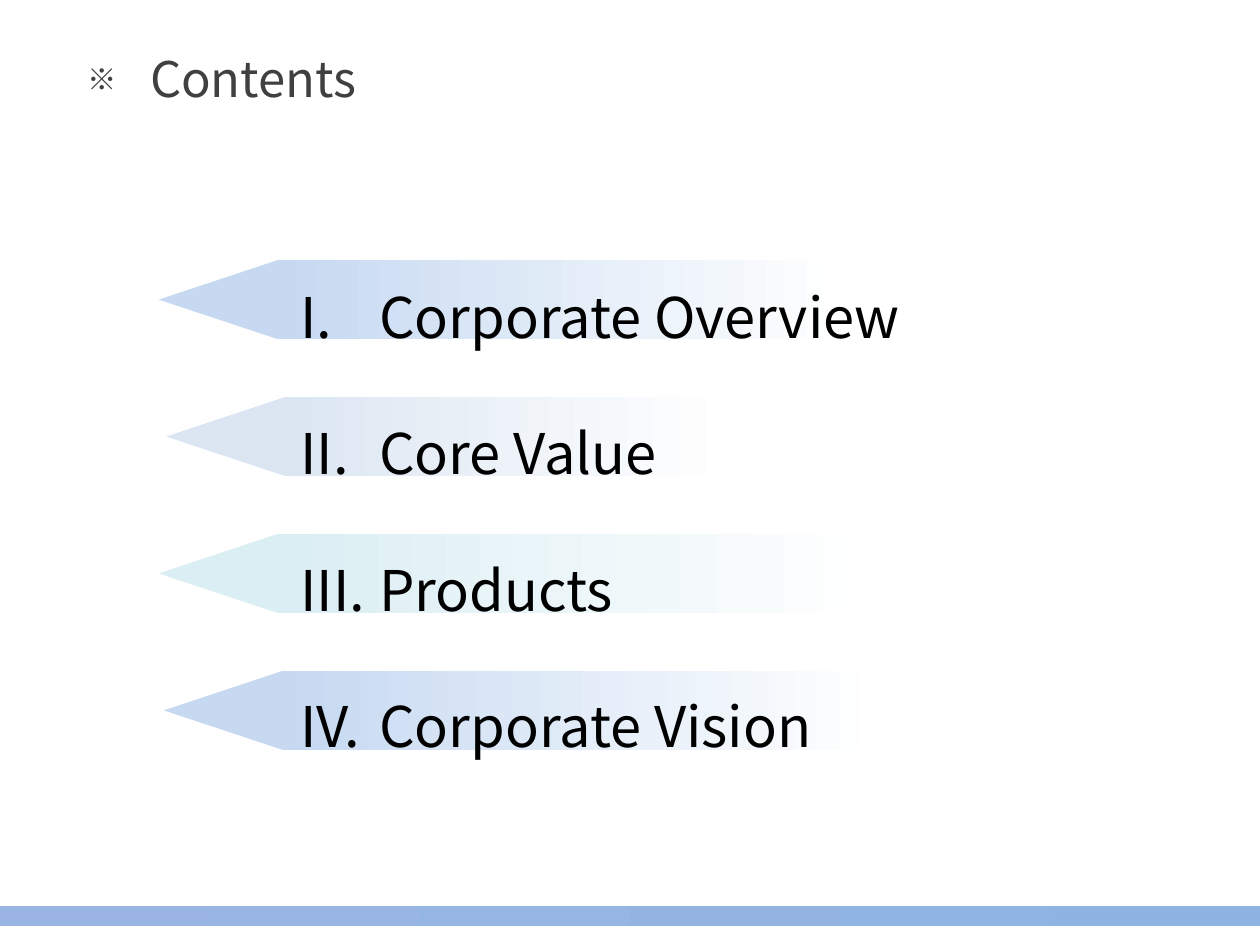
from lxml import etree
from pptx import Presentation
from pptx.dml.color import RGBColor
from pptx.enum import shapes, text
from pptx.oxml.ns import qn
from pptx.util import Cm, Pt

# Content
HEADING = "Contents"
BLUE = RGBColor(0xC6, 0xD9, 0xF1)
PALE_BLUE = RGBColor(0xDC, 0xE6, 0xF2)
AQUA = RGBColor(0xDB, 0xEE, 0xF4)
WHITE = RGBColor(0xFF, 0xFF, 0xFF)
BLACK = RGBColor(0, 0, 0)
GREY = RGBColor(0x40, 0x40, 0x40)
FOOTER_LEFT = RGBColor(0x9A, 0xB5, 0xE4)
FOOTER_RIGHT = RGBColor(0x8E, 0xB4, 0xE3)
# Chapter, colour, left tip of the arrow (cm), length of the fading band (cm)
CHAPTERS = [
    ("Corporate Overview", BLUE, 3.2, 11.5),
    ("Core Value", PALE_BLUE, 3.35, 9.04),
    ("Products", AQUA, 3.2, 12.3),
    ("Corporate Vision", BLUE, 3.3, 12.1),
]
FONT = "Noto Sans CJK KR"
FIRST_TOP, PITCH = 5.24, 2.76
BAND_HEIGHT, TIP_LENGTH = 1.6, 2.41


def add_plain(parent, kind, left, top, width, height):
    shape = parent.shapes.add_shape(kind, Cm(left), Cm(top), Cm(width), Cm(height))
    shape.shadow.inherit = False
    shape.line.fill.background()
    return shape


def add_fading_band(parent, left, top, width, height, colours):
    band = add_plain(parent, shapes.MSO_SHAPE.RECTANGLE, left, top, width, height)
    band.fill.gradient()
    band.fill.gradient_angle = 0
    for stop, position, colour in zip(band.fill.gradient_stops, (0, 1), colours):
        stop.position = position
        stop.color.rgb = colour


def add_arrow(slide, top, colour, left, length):
    arrow = slide.shapes.add_group_shape()
    add_fading_band(arrow, left + TIP_LENGTH - 0.03, top, length, BAND_HEIGHT,
                    (colour, WHITE))
    # The triangle is placed upright around its centre, then turned left
    inset = (TIP_LENGTH - BAND_HEIGHT) / 2
    tip = add_plain(arrow, shapes.MSO_SHAPE.ISOSCELES_TRIANGLE,
                    left + inset, top - inset, BAND_HEIGHT, TIP_LENGTH)
    tip.rotation = 270
    tip.fill.solid()
    tip.fill.fore_color.rgb = colour


def add_bullet(paragraph, colour, indent, size, tag, **mark):
    props = paragraph._p.get_or_add_pPr()
    props.set("marL", str(Cm(indent)))
    props.set("indent", str(-Cm(indent)))
    bullet_colour = etree.SubElement(props, qn("a:buClr"))
    etree.SubElement(bullet_colour, qn("a:srgbClr"), val=str(colour))
    etree.SubElement(props, qn("a:buSzPct"), val=str(size * 1000))
    etree.SubElement(props, qn("a:buFont"), typeface=FONT)
    etree.SubElement(props, qn(tag), **mark)


def write(paragraph, words, size, colour):
    run = paragraph.add_run()
    run.text = words
    for name, value in {"name": FONT, "size": Pt(size), "bold": False}.items():
        setattr(run.font, name, value)
    run.font.color.rgb = colour
    paragraph.alignment = text.PP_ALIGN.LEFT


def place(holder, left, top, width, height, anchor):
    for name, value in {"left": left, "top": top, "width": width, "height": height}.items():
        setattr(holder, name, Cm(value))
    frame = holder.text_frame
    for name, value in {"word_wrap": True, "auto_size": text.MSO_AUTO_SIZE.NONE,
                        "vertical_anchor": anchor}.items():
        setattr(frame, name, value)
    # Keep the text in front of the arrows
    holder.element.getparent().append(holder.element)
    return frame


def main():
    deck = Presentation()
    deck.slide_width, deck.slide_height = Cm(25.4), Cm(19.05)
    slide = deck.slides.add_slide(deck.slide_layouts[1])

    # Footer band
    add_fading_band(slide, 0, 18.26, 25.4, 0.41, (FOOTER_LEFT, FOOTER_RIGHT))

    # Arrows behind the chapters
    for row, (_, colour, left, length) in enumerate(CHAPTERS):
        add_arrow(slide, FIRST_TOP + row * PITCH, colour, left, length)

    # Chapter list
    chapters = place(slide.placeholders[1], 5.8, 4.45, 16.2, 11.4,
                     text.MSO_ANCHOR.TOP)
    for row, (chapter, *_) in enumerate(CHAPTERS):
        paragraph = chapters.add_paragraph() if row else chapters.paragraphs[0]
        add_bullet(paragraph, BLACK, 1.59, 100, "a:buAutoNum", type="romanUcPeriod")
        paragraph.line_spacing = Pt(70)
        paragraph.space_before = Pt(8 if row else 0)
        write(paragraph, chapter, 32, BLACK)

    # Heading
    heading = place(slide.shapes.title, 1.5, 0.79, 18.03, 1.55,
                    text.MSO_ANCHOR.MIDDLE).paragraphs[0]
    add_bullet(heading, GREY, 1.27, 60, "a:buChar", char="※")
    write(heading, HEADING, 28, GREY)

    deck.save("out.pptx")


if __name__ == "__main__":
    main()
